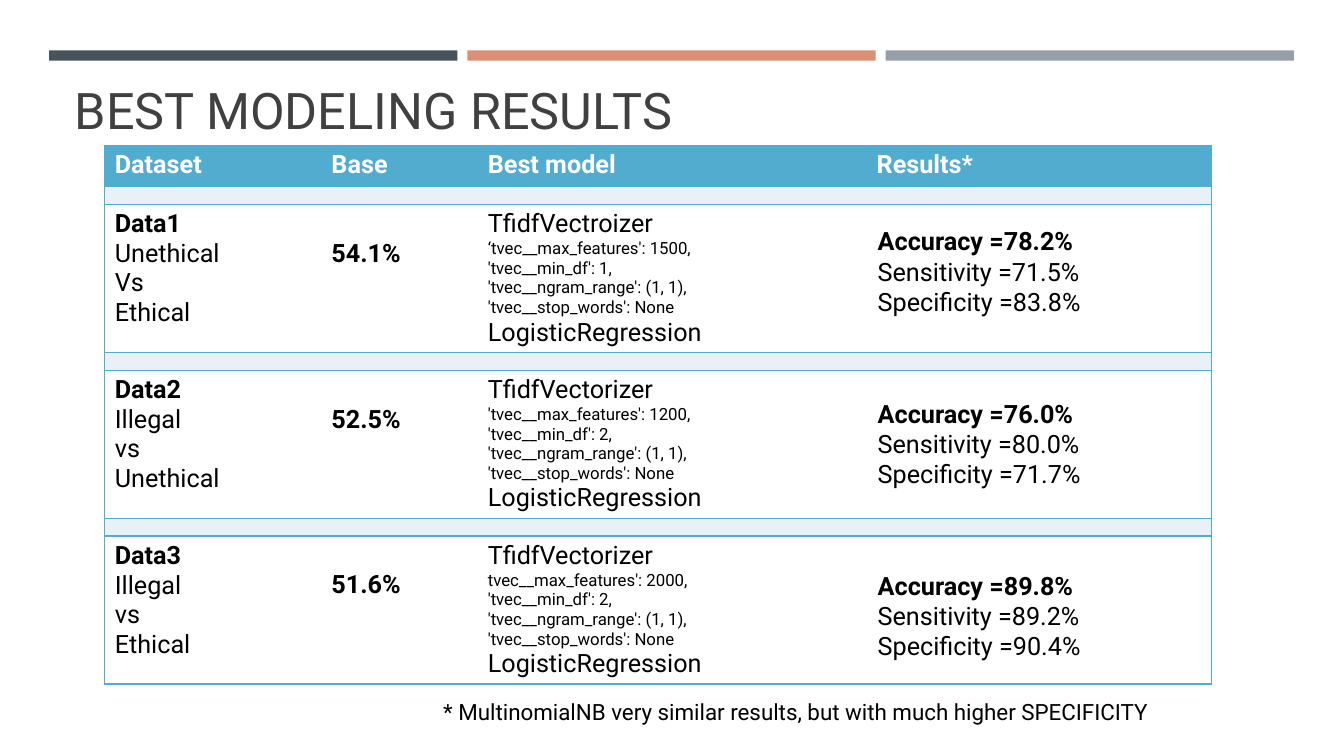
from lxml import etree
from pptx import Presentation
from pptx import util as u
from pptx.dml.color import RGBColor
from pptx.enum import shapes, text
from pptx.oxml.ns import qn

DARK = RGBColor(0x46, 0x53, 0x59)
CORAL = RGBColor(0xD9, 0x90, 0x75)
GREY = RGBColor(0x96, 0x9F, 0xA7)
INK = RGBColor(0x40, 0x40, 0x40)
BLUE = RGBColor(0x52, 0xAC, 0xD0)
PALE = RGBColor(0xE9, 0xF1, 0xF7)
WHITE = RGBColor(0xFF, 0xFF, 0xFF)
BLACK = RGBColor(0, 0, 0)

HEADS = ["Dataset", "Base", "Best model", "Results*", ""]
# name, classes, base, vectorizer, first option, min_df, scores, box width
MODELS = [
    ("Data1", ["Unethical", "Vs", "Ethical"], "54.1%", "TfidfVectroizer",
     "‘tvec__max_features': 1500,", 1,
     ["Accuracy =78.2%", "Sensitivity =71.5%", "Specificity =83.8%"], 6.93),
    ("Data2", ["Illegal", "vs", "Unethical"], "52.5%", "TfidfVectorizer",
     "'tvec__max_features': 1200,", 2,
     ["Accuracy =76.0%", "Sensitivity =80.0% Specificity =71.7%"], 6.81),
    ("Data3", ["Illegal", "vs", "Ethical"], "51.6%", "TfidfVectorizer",
     "tvec__max_features': 2000,", 2,
     ["Accuracy =89.8%", "Sensitivity =89.2% Specificity =90.4%"], 6.5),
]
COLS = [5.46, 3.94, 9.8, 8.08, 0.58]
HEAD_H, BAND_H, DATA_H = 1.04, 0.45, 3.72


def write(frame, lines, size=18, color=BLACK, bold=False, lead=False, small=()):
    """Fill a frame, one paragraph a line; lead bolds the first, small lists 12 pt lines."""
    for i, line in enumerate(lines):
        para = frame.paragraphs[0] if i == 0 else frame.add_paragraph()
        run = para.add_run()
        run.text = line
        font = run.font
        font.name = "Roboto"
        font.size = u.Pt(12 if i in small else size)
        font.bold = bold or (lead and i == 0)
        font.color.rgb = color


class Deck:
    def __init__(self):
        self.prs = Presentation()
        self.prs.slide_width, self.prs.slide_height = u.Cm(33.87), u.Cm(19.05)
        self.slide = self.prs.slides.add_slide(self.prs.slide_layouts[5])

    def bar(self, x, y, w, h, color):
        bar = self.slide.shapes.add_shape(
            shapes.MSO_SHAPE.RECTANGLE, *map(u.Cm, (x, y, w, h)))
        bar.shadow.inherit = False
        bar.fill.solid()
        bar.fill.fore_color.rgb = color
        bar.line.fill.background()

    def title(self, words, x, y, w, h):
        box = self.slide.shapes.title
        box.left, box.top, box.width, box.height = map(u.Cm, (x, y, w, h))
        frame = box.text_frame
        frame.auto_size = text.MSO_AUTO_SIZE.NONE
        frame.vertical_anchor = text.MSO_ANCHOR.BOTTOM
        write(frame, [words], size=36, color=INK)
        frame.paragraphs[0].alignment = text.PP_ALIGN.LEFT
        frame.paragraphs[0].line_spacing = 0.9

    def label(self, lines, x, y, w, h, **style):
        box = self.slide.shapes.add_textbox(*map(u.Cm, (x, y, w, h)))
        box.text_frame.word_wrap = True
        write(box.text_frame, lines, **style)

    def table(self, x, y, cols, rows):
        frame = self.slide.shapes.add_table(
            len(rows), len(cols), *map(u.Cm, (x, y, sum(cols), sum(rows))))
        grid = frame.table
        for col, w in zip(grid.columns, cols):
            col.width = u.Cm(w)
        for row, h in zip(grid.rows, rows):
            row.height = u.Cm(h)
        return grid

    def cell(self, cell, fill, sides, lines=(), **style):
        props = cell._tc.get_or_add_tcPr()
        for side in "LRTB":
            line = etree.SubElement(props, qn("a:ln" + side), w=str(u.Pt(1)))
            if side in sides:
                paint = etree.SubElement(line, qn("a:solidFill"))
                etree.SubElement(paint, qn("a:srgbClr"), val=str(BLUE))
            else:
                etree.SubElement(line, qn("a:noFill"))
        cell.fill.solid()
        cell.fill.fore_color.rgb = fill
        if lines:
            write(cell.text_frame, lines, **style)
        else:
            cell.margin_top = cell.margin_bottom = 0
            para = cell.text_frame.paragraphs[0]._p
            etree.SubElement(para, qn("a:endParaRPr"), sz="400")


def main():
    deck = Deck()
    for i, color in enumerate([DARK, CORAL, GREY]):
        deck.bar(1.24 + i * 10.54, 1.27, 10.29, 0.26, color)
    deck.title("BEST MODELING RESULTS", 1.63, 1.96, 30.63, 1.7)

    grid = deck.table(2.64, 3.66, COLS, [HEAD_H] + [BAND_H, DATA_H] * len(MODELS))
    ends = ["TBL", "TB", "TB", "TB", "TBR"]
    for c, (head, sides) in enumerate(zip(HEADS, ends)):
        deck.cell(grid.cell(0, c), BLUE, sides, [head] if head else (),
                  color=WHITE, bold=True)

    for i, (name, kinds, base, tool, first, least, scores, width) in enumerate(MODELS):
        band = 1 + 2 * i
        options = [first, f"'tvec__min_df': {least},",
                   "'tvec__ngram_range': (1, 1),", "'tvec__stop_words': None"]
        cells = [
            ([name] + kinds, {"lead": True}),
            ([base], {"bold": True}),
            ([tool] + options + ["LogisticRegression"], {"small": range(1, 5)}),
            ((), {}),
            ((), {}),
        ]
        for c, (lines, style) in enumerate(cells):
            deck.cell(grid.cell(band, c), PALE, ends[c])
            deck.cell(grid.cell(band + 1, c), WHITE, ends[c], lines, **style)
        grid.cell(band + 1, 1).margin_top = u.Cm(0.87)
        deck.label(scores, 21.87, 5.56 + i * 4.34, width, 2.57, lead=True)

    deck.label(["* MultinomialNB very similar results, but with much higher SPECIFICITY"],
               10.92, 17.48, 20.07, 0.94, size=16)
    deck.prs.save("out.pptx")


if __name__ == "__main__":
    main()
